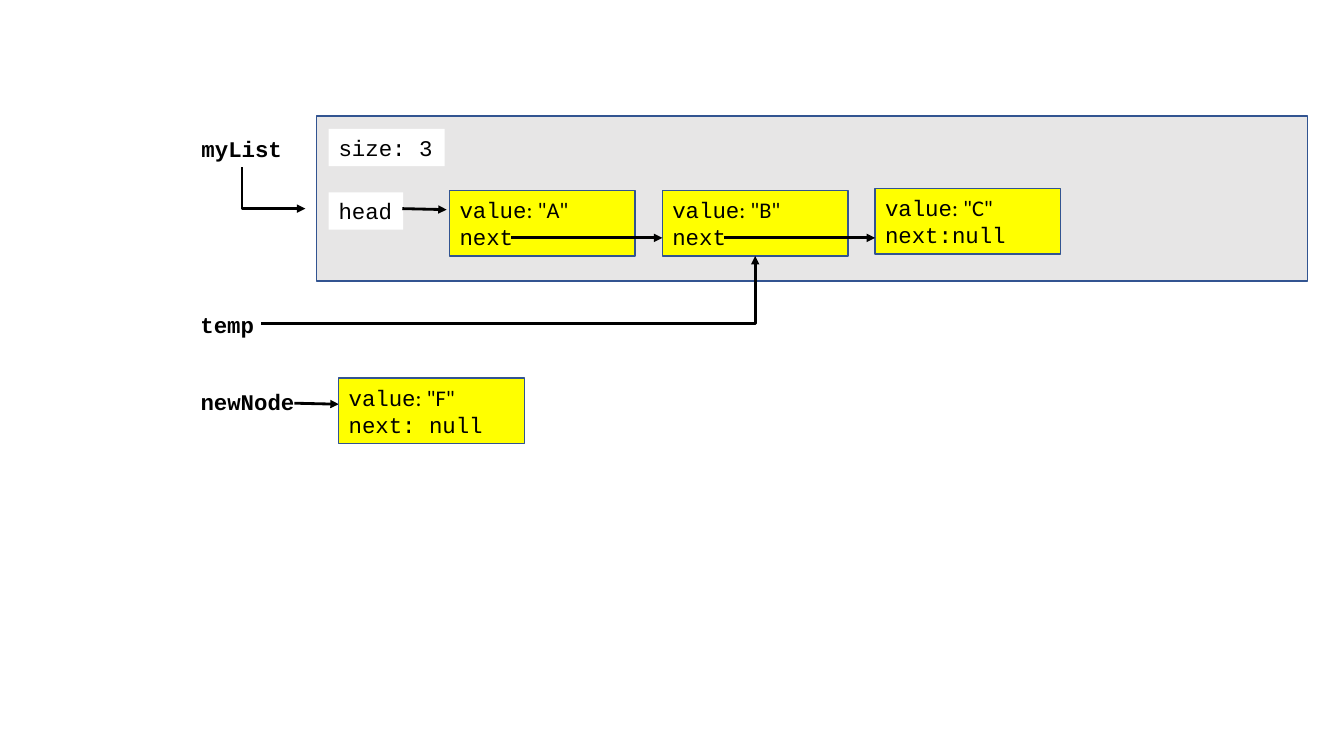
"""Draw a linked list with a temp reference and a new node."""
import pptx
import pptx.dml.color
import pptx.enum.shapes
import pptx.enum.text
import pptx.oxml.ns
import pptx.util
from lxml import etree
from pptx.util import Inches

COLOURS = {"ink": "000000", "edge": "325491", "list": "E7E6E6",
           "label": "FFFFFF", "node": "FFFF00"}
CODE, PLAIN = "Courier New", "Calibri"
NODE_WIDTH, NODE_HEIGHT, NODE_STEP = 1.84, 0.65, 2.11
LABEL_HEIGHT = 0.37


def colour(name):
    return pptx.dml.color.RGBColor.from_string(COLOURS[name])


class Diagram:
    """Hold the text style and the current page, and draw each kind of element."""

    text_format = {"size": pptx.util.Pt(16)}

    def __init__(self, page):
        self.shapes = page.shapes

    def box(self, left, top, width, height, fill, edged=True):
        box = self.shapes.add_shape(
            pptx.enum.shapes.MSO_SHAPE.RECTANGLE,
            Inches(left), Inches(top), Inches(width), Inches(height))
        box.shadow.inherit = False
        box.fill.solid()
        box.fill.fore_color.rgb = colour(fill)
        if edged:
            box.line.color.rgb = colour("edge")
            box.line.width = pptx.util.Pt(1)
        else:
            box.line.fill.background()
        return box

    def fill_text(self, box, lines, bold=False, **frame_format):
        frame = box.text_frame
        for name, value in frame_format.items():
            setattr(frame, name, value)
        for index, spans in enumerate(lines):
            para = frame.add_paragraph() if index else frame.paragraphs[0]
            para.alignment = pptx.enum.text.PP_ALIGN.LEFT
            for text, face in spans:
                span = para.add_run()
                span.text = text
                span.font.color.rgb = colour("ink")
                for name, value in {**self.text_format, "name": face, "bold": bold}.items():
                    setattr(span.font, name, value)

    def label(self, left, top, width, text, bold=False):
        box = self.box(left, top, width, LABEL_HEIGHT, "label", edged=False)
        self.fill_text(box, [[(text, CODE)]], bold, word_wrap=False,
                       vertical_anchor=pptx.enum.text.MSO_ANCHOR.TOP,
                       auto_size=pptx.enum.text.MSO_AUTO_SIZE.SHAPE_TO_FIT_TEXT)

    def node(self, left, top, value, link):
        box = self.box(left, top, NODE_WIDTH, NODE_HEIGHT, "node")
        lines = [[("value", CODE), (f': "{value}"', PLAIN)], [(link, CODE)]]
        self.fill_text(box, lines, word_wrap=True,
                       vertical_anchor=pptx.enum.text.MSO_ANCHOR.MIDDLE)

    def arrow(self, start, end, bent=False):
        kinds = pptx.enum.shapes.MSO_CONNECTOR
        arrow = self.shapes.add_connector(
            kinds.ELBOW if bent else kinds.STRAIGHT,
            *(Inches(length) for length in (*start, *end)))
        arrow.line.color.rgb = colour("ink")
        arrow.line.width = pptx.util.Pt(2)
        name = pptx.oxml.ns.qn
        properties = arrow._element.spPr
        tip = etree.SubElement(properties.find(name("a:ln")), name("a:tailEnd"))
        tip.set("type", "triangle")
        etree.SubElement(properties, name("a:effectLst"))
        if bent:
            properties.find(name("a:prstGeom")).set("prst", "bentConnector2")
        return arrow

    def down_then_right(self, start, end):
        middle_x, middle_y = ((a + b) / 2 for a, b in zip(start, end))
        half_width, half_height = (end[1] - start[1]) / 2, (end[0] - start[0]) / 2
        arrow = self.arrow((middle_x + half_width, middle_y - half_height),
                           (middle_x - half_width, middle_y + half_height), bent=True)
        arrow._element.spPr.find(pptx.oxml.ns.qn("a:xfrm")).set("rot", str(270 * 60000))


def main():
    deck = pptx.Presentation()
    deck.slide_width, deck.slide_height = Inches(13.33), Inches(7.5)
    diagram = Diagram(deck.slides.add_slide(deck.slide_layouts[6]))

    diagram.label(1.9, 1.29, 1.01, "myList", bold=True)
    diagram.box(3.14, 1.15, 9.83, 1.64, "list")
    diagram.label(3.26, 1.28, 1.15, "size: 3")
    diagram.label(3.26, 1.91, 0.74, "head")
    diagram.arrow((3.99, 2.07), (4.43, 2.08))
    diagram.down_then_right((2.4, 1.66), (3.03, 2.07))

    nodes = [("A", "next", 1.89), ("B", "next", 1.89), ("C", "next:null", 1.87)]
    for index, (value, link, top) in enumerate(nodes):
        left = 4.46 + index * NODE_STEP
        diagram.node(left, top, value, link)
        if index:
            diagram.arrow((left - 1.5, 2.36), (left, 2.36))

    diagram.label(1.89, 3.04, 0.74, "temp", bold=True)
    diagram.label(1.89, 3.8, 1.15, "newNode", bold=True)
    diagram.arrow((2.92, 4), (3.36, 4.01))
    diagram.node(3.36, 3.75, "F", "next: null")
    diagram.arrow((2.59, 3.21), (7.49, 2.54), bent=True)
    deck.save("out.pptx")


if __name__ == "__main__":
    main()
